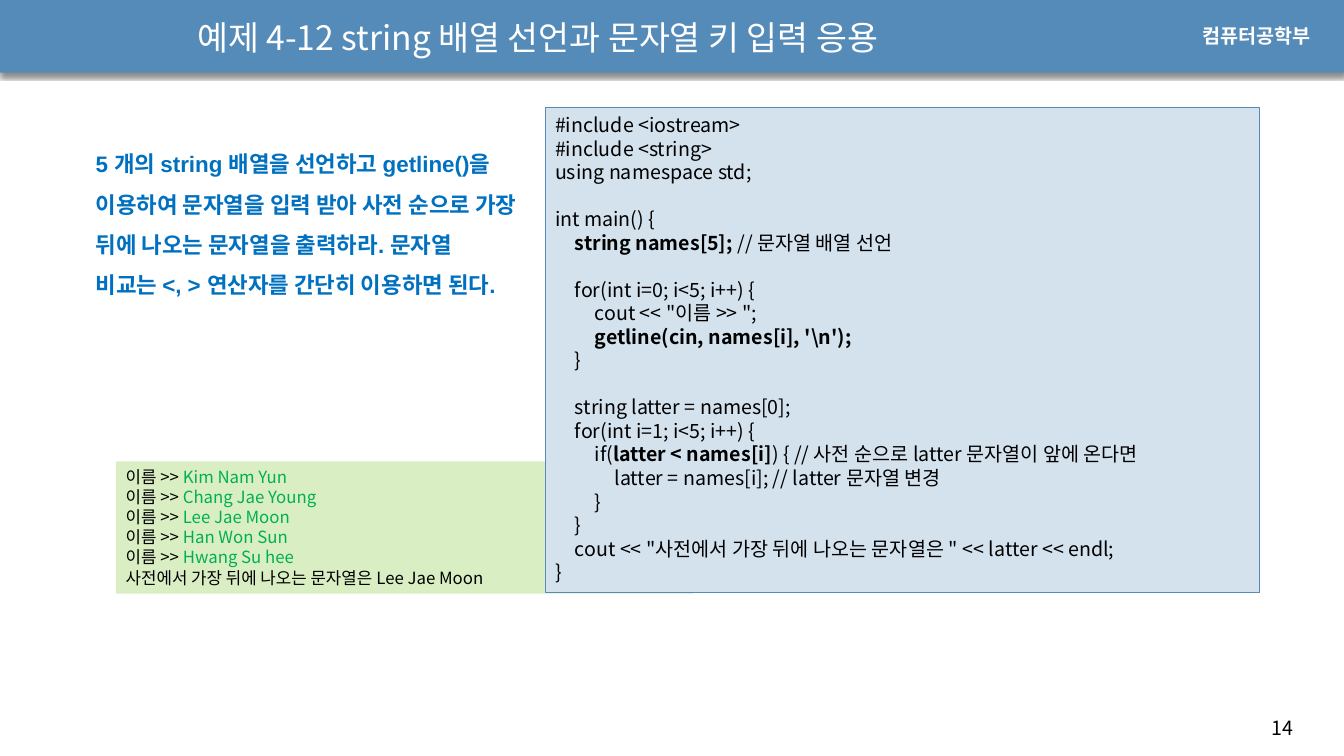
from dataclasses import dataclass
from lxml.etree import SubElement
from pptx import Presentation
from pptx.dml.color import RGBColor
from pptx.enum.shapes import MSO_SHAPE
from pptx.enum.text import MSO_ANCHOR, MSO_AUTO_SIZE, PP_ALIGN
from pptx.oxml.ns import qn
from pptx.util import Cm, Pt


@dataclass(frozen=True)
class Ink:
    """Look of one run of text."""
    size: int
    color: str
    bold: bool = False
    font: str = "Noto Sans CJK KR"


@dataclass(frozen=True)
class Theme:
    """Colours and type of the slide."""
    asian: str = "Noto Sans CJK KR"
    blue: str = "558BB8"
    pale: str = "D4E2ED"
    green: str = "DAEEC4"
    title: Ink = Ink(24, "FFFFFF")
    dept: Ink = Ink(14, "FFFFFF", True, "Arial")
    page: Ink = Ink(14, "000000")
    task: Ink = Ink(16, "0070C0", True, "Arial")
    code: Ink = Ink(14, "000000")
    key: Ink = Ink(14, "000000", True)
    prompt: Ink = Ink(12, "000000")
    reply: Ink = Ink(12, "00B050")


THEME = Theme()
TAB = 0.5

CODE = [
    (0, "#include <iostream>"),
    (0, "#include <string>"),
    (0, "using namespace std;"),
    (0,),
    (0, "int main() {"),
    (1, "", "string names[5]; ", "// 문자열 배열 선언"),
    (0,),
    (1, "for(int i=0; i<5; i++) {"),
    (2, "cout << \"이름 >> \";"),
    (2, "", "getline(cin, names[i], '\\n');"),
    (1, "}"),
    (0,),
    (1, "string latter = names[0];"),
    (1, "for(int i=1; i<5; i++) {"),
    (2, "if(", "latter < names[i]", ") { // 사전 순으로 latter 문자열이 앞에 온다면"),
    (3, "latter = names[i]; // latter 문자열 변경"),
    (2, "}"),
    (1, "}"),
    (1, "cout << \"사전에서 가장 뒤에 나오는 문자열은 \" << latter << endl;"),
    (0, "}"),
]
NAMES = ["Kim Nam Yun", "Chang Jae Young", "Lee Jae Moon", "Han Won Sun", "Hwang Su hee"]
RESULT = "사전에서 가장 뒤에 나오는 문자열은 Lee Jae Moon"
TASK = (
    "5 개의 string 배열을 선언하고 getline()을 이용하여 문자열을 입력 받아 사전 순으로 "
    "가장 뒤에 나오는 문자열을 출력하라. 문자열 비교는 <, > 연산자를 간단히 이용하면 된다."
)


def add_run(para, text, ink):
    """Add one run in the given ink."""
    run = para.add_run()
    run.text = text
    font = run.font
    font.size, font.bold, font.name = Pt(ink.size), ink.bold, ink.font
    font.color.rgb = RGBColor.from_string(ink.color)
    SubElement(font._element, qn("a:ea"), typeface=THEME.asian)


def add_tabs(para, count):
    """Set evenly spaced tab stops."""
    stops = SubElement(para._p.get_or_add_pPr(), qn("a:tabLst"))
    for step in range(1, count + 1):
        SubElement(stops, qn("a:tab"), pos=str(Cm(TAB * step)), algn="l")


def add_text(shape, lines, inks, space=None):
    """Write lines whose parts take the inks in turn."""
    frame = shape.text_frame
    frame.word_wrap = True
    frame.auto_size = MSO_AUTO_SIZE.SHAPE_TO_FIT_TEXT
    frame.vertical_anchor = MSO_ANCHOR.TOP
    for row, (depth, *parts) in enumerate(lines):
        para = frame.add_paragraph() if row else frame.paragraphs[0]
        para.alignment = PP_ALIGN.LEFT
        if space:
            para.line_spacing = space
        if depth:
            add_tabs(para, depth)
            parts[0] = "\t" * depth + parts[0]
        for turn, part in enumerate(parts):
            if part:
                add_run(para, part, inks[turn % len(inks)])
        if not parts:
            SubElement(para._p, qn("a:endParaRPr"), sz=str(inks[0].size * 100))
    return frame


def add_label(slide, box, text, ink, space=None):
    """Add a text box with one paragraph."""
    shape = slide.shapes.add_textbox(*map(Cm, box))
    return add_text(shape, [(0, text)], [ink], space)


def add_panel(slide, box, fill, edge=None):
    """Add a flat filled rectangle."""
    shape = slide.shapes.add_shape(MSO_SHAPE.RECTANGLE, *map(Cm, box))
    shape.shadow.inherit = False
    shape.fill.solid()
    shape.fill.fore_color.rgb = RGBColor.from_string(fill)
    if edge:
        shape.line.color.rgb = RGBColor.from_string(edge)
        shape.line.width = Pt(0.75)
    else:
        shape.line.fill.background()
    return shape


def add_shade(shape):
    """Drop a soft shadow below the shape."""
    effects = shape._element.spPr.find(qn("a:effectLst"))
    shade = SubElement(effects, qn("a:outerShdw"), blurRad=str(Pt(3)), dist=str(Pt(2.4)),
                       dir="5400000", algn="t", rotWithShape="0")
    color = SubElement(shade, qn("a:srgbClr"), val="000000")
    SubElement(color, qn("a:alpha"), val="45000")


def add_head(slide, box):
    """Build the top band with title and department."""
    left, top, width, height = box
    add_shade(add_panel(slide, box, THEME.blue))
    add_label(slide, (left + width - 3.81, top + 0.5, 3.48, 0.86), "컴퓨터공학부", THEME.dept)
    spot = (left + 4.72, top + 0.15, 21.8, height - 0.25)
    frame = add_label(slide, spot, "예제 4-12 string 배열 선언과 문자열 키 입력 응용", THEME.title)
    frame.auto_size = MSO_AUTO_SIZE.NONE
    frame.vertical_anchor = MSO_ANCHOR.MIDDLE


def add_body(slide, box):
    """Build the task, the sample output and the code."""
    left, top, width, height = box
    output = add_panel(slide, (left + 0.76, top + 8.91, 14.55, 3.33), THEME.green)
    lines = [(0, "이름 >> ", name) for name in NAMES] + [(0, RESULT)]
    add_text(output, lines, [THEME.prompt, THEME.reply])
    code = add_panel(slide, (left + width - 18.01, top, 18.01, height), THEME.pale, THEME.blue)
    add_text(code, CODE, [THEME.code, THEME.key])
    add_label(slide, (left, top + 0.61, 11.15, 5.26), TASK, THEME.task, 1.5)


def main():
    """Build and save the slide."""
    deck = Presentation()
    deck.slide_width, deck.slide_height = Cm(33.87), Cm(19.05)
    slide = deck.slides.add_slide(deck.slide_layouts[6])
    add_head(slide, (0, -0.02, 33.87, 1.85))
    add_label(slide, (31.8, 17.91, 1.8, 0.86), "14", THEME.page)
    add_body(slide, (2.16, 2.72, 29.59, 12.22))
    deck.save("out.pptx")


if __name__ == "__main__":
    main()
